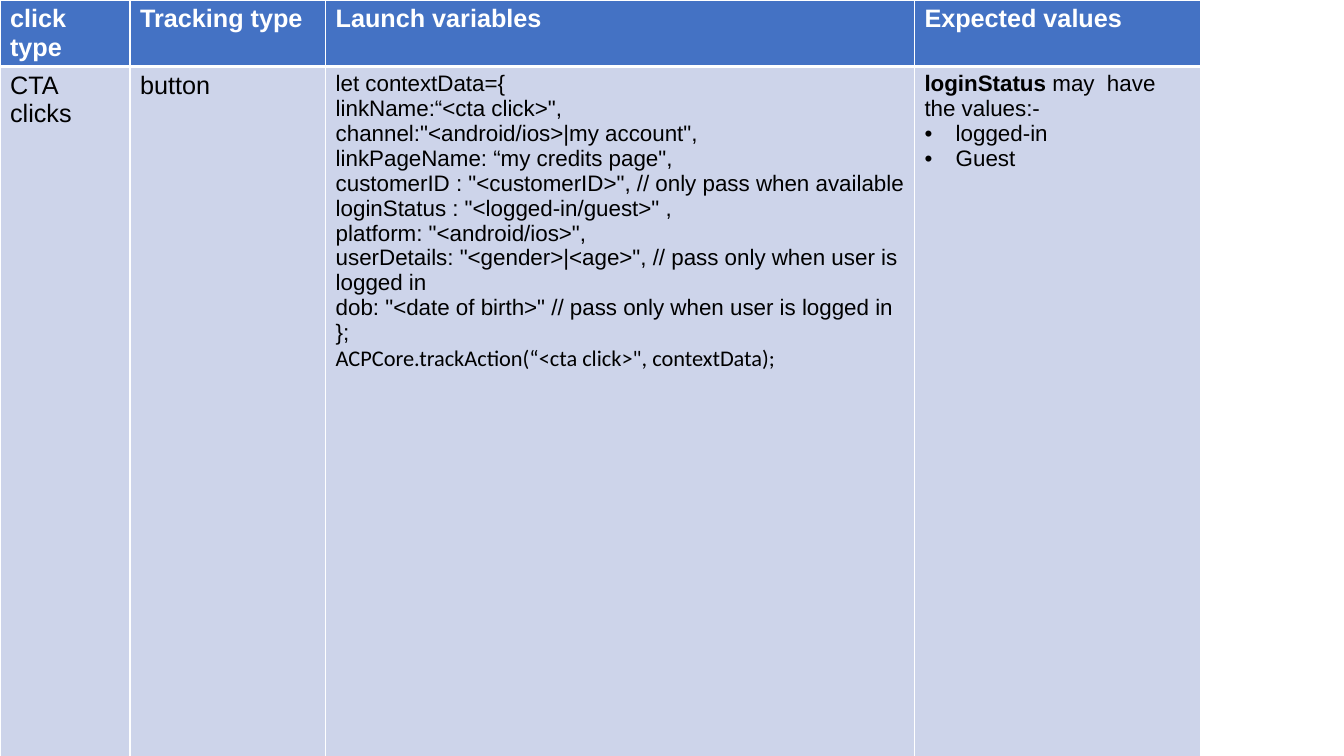
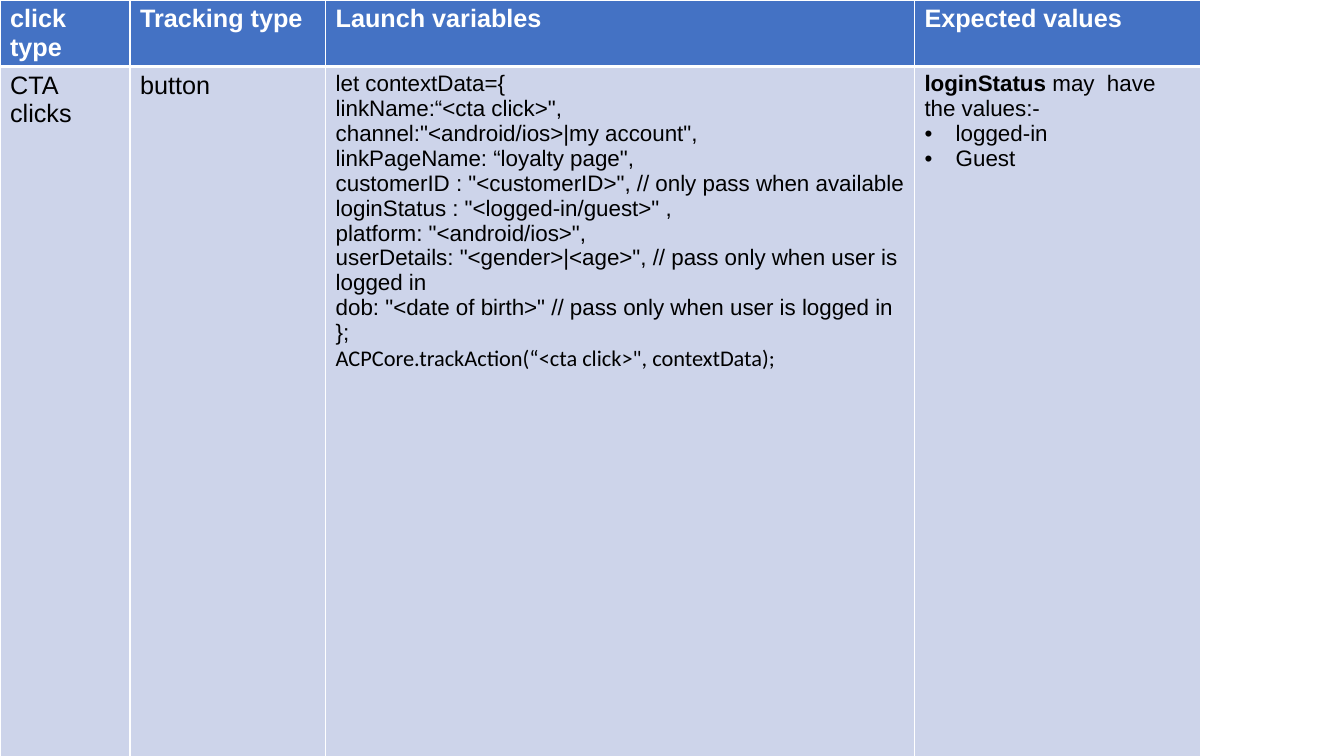
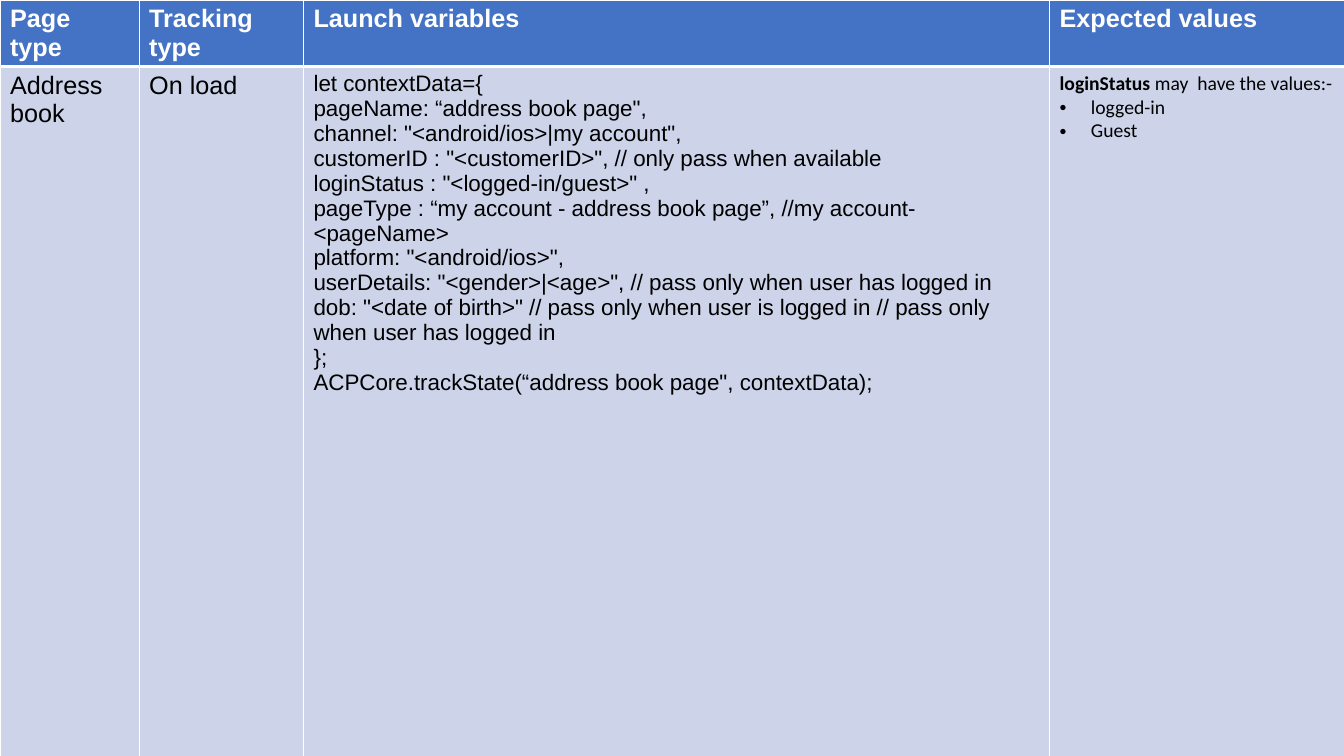
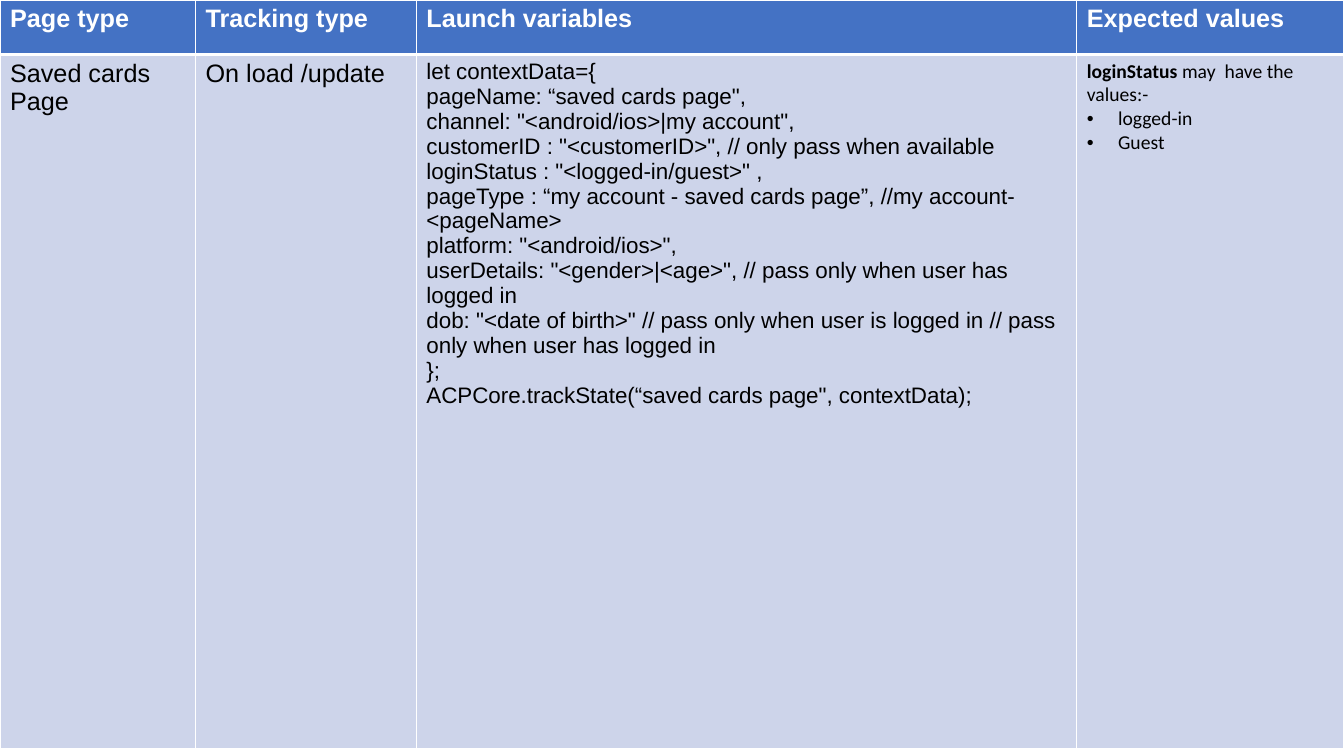
from copy import deepcopy
from dataclasses import dataclass

from lxml.etree import SubElement as Sub, Element as Elem
from pptx import Presentation as Deck
from pptx.dml.color import RGBColor as Rgb
from pptx.oxml.ns import qn
from pptx.util import Inches as In, Pt


@dataclass(frozen=True)
class Theme:
    head: str = "4472C4"
    body: str = "CDD4EA"
    rule: str = "FFFFFF"
    light: str = "FFFFFF"
    dark: str = "000000"
    sans: str = "Arial"
    alt: str = "Calibri"
    big: int = 18
    code: int = 16
    small: int = 14
    thin: int = 1
    thick: int = 3
    hang: float = 0.31


T = Theme()
GRID = (1333, 750)  # columns and rows of the slide grid
ROWS = (54, 689)    # header and body heights in grid rows

# Text formats
BASE = {"name": T.sans, "size": T.big, "bold": False, "color": T.dark}
HEAD = BASE | {"bold": True, "color": T.light}
CODE = BASE | {"size": T.code}
CALL = CODE | {"name": T.alt}
NOTE = BASE | {"name": T.alt, "size": T.small}


# Text helpers
def style(font, fmt):
    for key, val in fmt.items():
        if key == "color":
            font.color.rgb = Rgb.from_string(val)
        else:
            setattr(font, key, Pt(val) if key == "size" else val)


def write(para, text, fmt):
    for i, line in enumerate(text.split("\n")):
        if i:
            para.add_line_break()
        run = para.add_run()
        run.text = line
        style(run.font, fmt)
    # A break takes the size of the text around it
    for gap in para._p.findall(qn("a:br")):
        gap.append(deepcopy(run._r.rPr))


def bullet(para):
    props = para._p.get_or_add_pPr()
    props.set("marL", str(In(T.hang)))
    props.set("indent", str(-In(T.hang)))
    Sub(Sub(props, qn("a:buClr")), qn("a:srgbClr"), val=T.dark)
    Sub(props, qn("a:buFont"), typeface=T.sans)
    Sub(props, qn("a:buChar"), char="•")


def fill(cell, paras):
    """Each paragraph is (runs, has bullet); each run is (text, format)."""
    frame = cell.text_frame
    for i, (runs, mark) in enumerate(paras):
        para = frame.add_paragraph() if i else frame.paragraphs[0]
        if mark:
            bullet(para)
        for text, fmt in runs:
            write(para, text, fmt)


def plain(text, fmt):
    return [([(text, fmt)], False)]


# Cell fill and borders
def paint(cell, color, edges):
    cell.fill.solid()
    cell.fill.fore_color.rgb = Rgb.from_string(color)
    props = cell._tc.get_or_add_tcPr()
    for i, (side, width) in enumerate(edges.items()):
        line = Elem(qn(f"a:ln{side}"), w=str(Pt(width)))
        Sub(Sub(line, qn("a:solidFill")), qn("a:srgbClr"), val=T.rule)
        props.insert(i, line)


# Cell contents
def script(lines, last):
    return [([(text, CODE)], False) for text in lines] + plain(*last)


def values(fmt):
    lead = [("loginStatus ", fmt | {"bold": True}),
            ("may  have the values:-", fmt)]
    return [(lead, False)] + [([(v, fmt)], True) for v in ("logged-in", "Guest")]


def details(state):
    return ("platform: \"<android/ios>\",\n"
            f"userDetails: \"<gender>|<age>\", // pass only when user {state} logged in\n"
            "dob: \"<date of birth>\" // pass only when user is logged in")


OPEN = "let contextData={"
USER = "customerID : \"<customerID>\", // only pass when available"
LOGIN = "loginStatus : \"<logged-in/guest>\" ,"


def click(page):
    lines = (OPEN, "linkName:“<cta click>\",",
             "channel:\"<android/ios>|my account\",",
             f"linkPageName: “{page}\",", USER,
             f"{LOGIN}\n{details('is')}", "};")
    return script(lines, ("ACPCore.trackAction(“<cta click>\", contextData);", CALL))


def load(page):
    lines = (OPEN, f"pageName: “{page}\",",
             "channel: \"<android/ios>|my account\",", USER, LOGIN,
             f"pageType : “my account - {page}”, //my account-<pageName>\n"
             f"{details('has')} // pass only when user has logged in", "};")
    return script(lines, (f"ACPCore.trackState(“{page}\", contextData);", CODE))


# Tracking table, placed from the corner of its box
def table(slide, box, cols, first, row):
    left, top, wide, high = box
    xs = [int(wide * c / GRID[0]) for c in cols]
    ys = [int(high * r / GRID[1]) for r in ROWS]
    grid = slide.shapes.add_table(2, len(cols), left, top, sum(xs), sum(ys)).table
    for col, x in zip(grid.columns, xs):
        col.width = x
    for band, y in zip(grid.rows, ys):
        band.height = y

    heads = (first, "Tracking type", "Launch variables", "Expected values")
    edges = dict.fromkeys("LRTB", T.thin)
    bands = (([plain(h, HEAD) for h in heads], T.head, edges | {"B": T.thick}),
             (row, T.body, edges | {"T": T.thick}))
    for r, (cells, color, rim) in enumerate(bands):
        for c, paras in enumerate(cells):
            cell = grid.cell(r, c)
            paint(cell, color, rim)
            fill(cell, paras)


# Slide data: columns, first heading, type, trigger, code, value format
CLICK = (129, 194, 584, 284)
PAGES = (
    (CLICK, "click type", "CTA clicks", "button", click("my credits page"), CODE),
    (CLICK, "click type", "CTA clicks", "button", click("loyalty page"), CODE),
    ((138, 163, 740, 293), "Page type", "Address book", "On load",
     load("address book page"), NOTE),
    ((194, 219, 655, 265), "Page type", "Saved cards Page", "On load /update",
     load("saved cards page"), NOTE),
)


def main():
    deck = Deck()
    deck.slide_width, deck.slide_height = In(13.33), In(7.5)
    box = (0, 0, deck.slide_width, deck.slide_height)
    for cols, first, kind, event, code, fmt in PAGES:
        slide = deck.slides.add_slide(deck.slide_layouts[6])
        row = (plain(kind, BASE), plain(event, BASE), code, values(fmt))
        table(slide, box, cols, first, row)
    deck.save("out.pptx")


if __name__ == "__main__":
    main()
